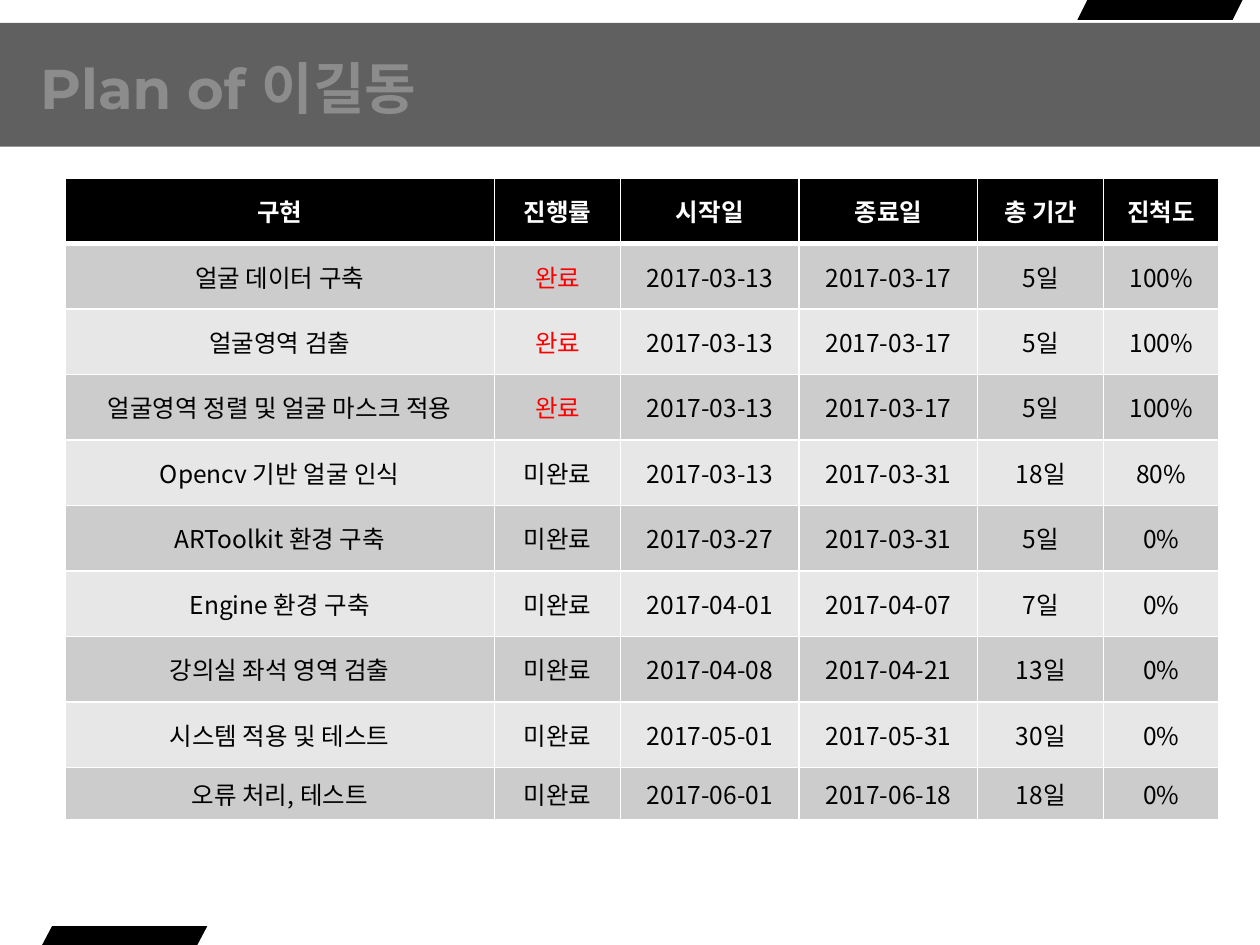
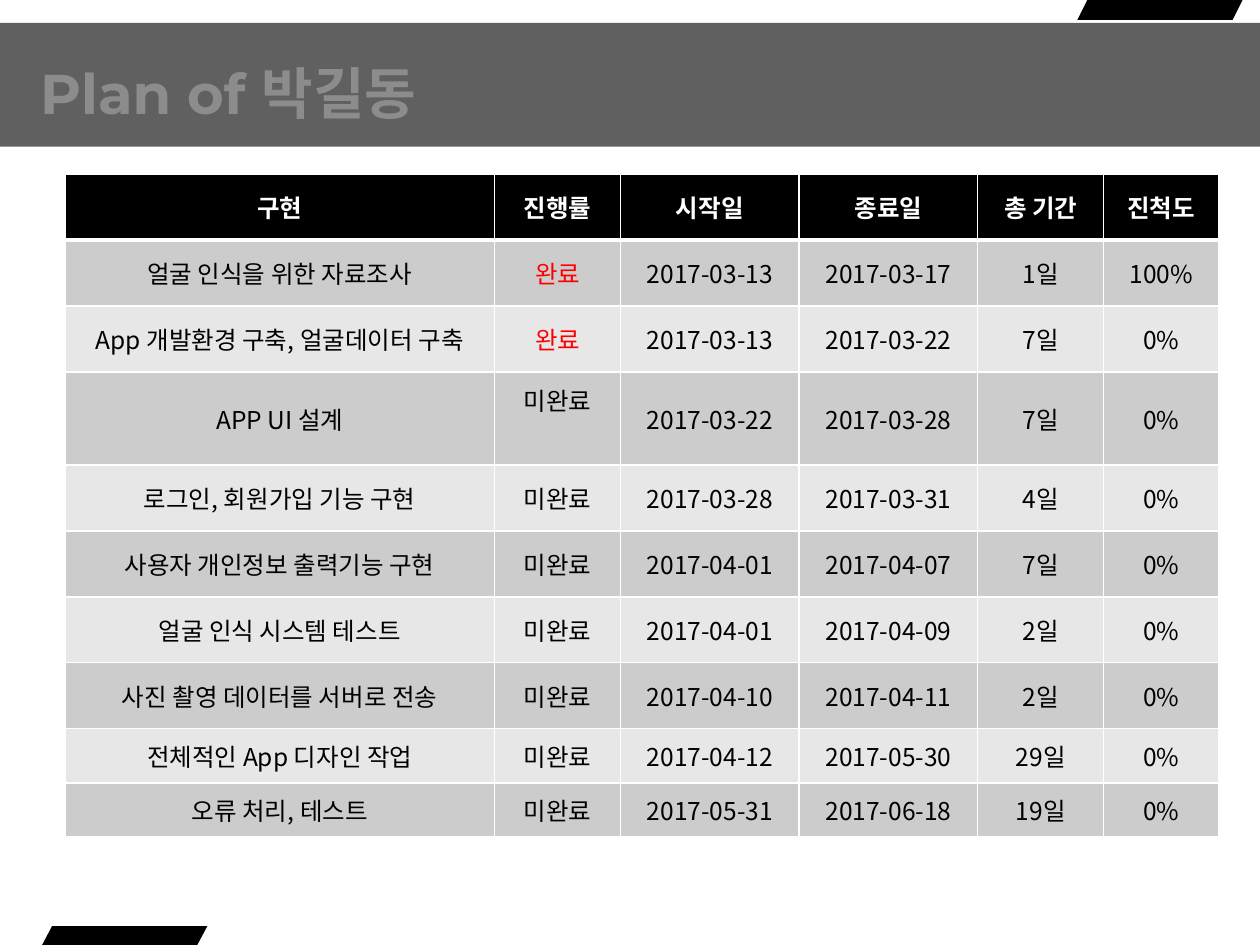
from lxml import etree
from pptx import Presentation
from pptx.dml.color import RGBColor
from pptx.enum import shapes, text
from pptx.oxml.ns import qn
from pptx.util import Cm, Pt

BLACK, WHITE, RED = "000000", "FFFFFF", "FF0000"
BAND_GREY, TITLE_GREY = "606060", "8C8C8C"
ROW_FILLS = ("CCCCCC", "E7E7E7")
BODY_FONT, TITLE_FONT = "Noto Sans CJK KR", "Montserrat"

SLIDE_WIDTH, SLIDE_HEIGHT = 25.4, 19.05
BAND_TOP, BAND_HEIGHT = 0.46, 2.5
TAB_WIDTH, TAB_SLANT = 3.33, 0.2
TABLE_LEFT = 1.31
COLUMN_WIDTHS = (8.66, 2.54, 3.6, 3.6, 2.54, 2.32)
HEADINGS = ("구현", "진행률", "시작일", "종료일", "총 기간", "진척도")
DONE, OPEN = "완료", "미완료"

LEE_TASKS = [
    ("얼굴 데이터 구축", DONE, "2017-03-13", "2017-03-17", "5일", "100%"),
    ("얼굴영역 검출", DONE, "2017-03-13", "2017-03-17", "5일", "100%"),
    ("얼굴영역 정렬 및 얼굴 마스크 적용", DONE, "2017-03-13", "2017-03-17", "5일", "100%"),
    ("Opencv 기반 얼굴 인식", OPEN, "2017-03-13", "2017-03-31", "18일", "80%"),
    ("ARToolkit 환경 구축", OPEN, "2017-03-27", "2017-03-31", "5일", "0%"),
    ("Engine 환경 구축", OPEN, "2017-04-01", "2017-04-07", "7일", "0%"),
    ("강의실 좌석 영역 검출", OPEN, "2017-04-08", "2017-04-21", "13일", "0%"),
    ("시스템 적용 및 테스트", OPEN, "2017-05-01", "2017-05-31", "30일", "0%"),
    ("오류 처리, 테스트", OPEN, "2017-06-01", "2017-06-18", "18일", "0%"),
]
PARK_TASKS = [
    ("얼굴 인식을 위한 자료조사", DONE, "2017-03-13", "2017-03-17", "1일", "100%"),
    ("App 개발환경 구축, 얼굴데이터 구축", DONE, "2017-03-13", "2017-03-22", "7일", "0%"),
    ("APP UI 설계", OPEN, "2017-03-22", "2017-03-28", "7일", "0%"),
    ("로그인, 회원가입 기능 구현", OPEN, "2017-03-28", "2017-03-31", "4일", "0%"),
    ("사용자 개인정보 출력기능 구현", OPEN, "2017-04-01", "2017-04-07", "7일", "0%"),
    ("얼굴 인식 시스템 테스트", OPEN, "2017-04-01", "2017-04-09", "2일", "0%"),
    ("사진 촬영 데이터를 서버로 전송", OPEN, "2017-04-10", "2017-04-11", "2일", "0%"),
    ("전체적인 App 디자인 작업", OPEN, "2017-04-12", "2017-05-30", "29일", "0%"),
    ("오류 처리, 테스트", OPEN, "2017-05-31", "2017-06-18", "19일", "0%"),
]


def paint(part, color):
    """Give a fill, or a font through its fill, one solid colour."""
    part.fill.solid()
    part.fill.fore_color.rgb = RGBColor.from_string(color)


def add_run(paragraph, words, size, color, bold, latin=BODY_FONT):
    run = paragraph.add_run()
    run.text = words
    run.font.size = Pt(size)
    run.font.bold = bold
    run.font.name = latin
    paint(run.font, color)
    east_asian = etree.Element(qn("a:ea"), typeface=BODY_FONT)
    run.font._element.find(qn("a:latin")).addnext(east_asian)
    return run


def finish_shape(shape, color):
    paint(shape, color)
    shape.line.fill.background()
    shape.shadow.inherit = False


def add_slanted_tab(slide, left, top, height):
    right, bottom = left + TAB_WIDTH, top + height
    outline = slide.shapes.build_freeform(Cm(left + TAB_SLANT), Cm(top))
    outline.add_line_segments([
        (Cm(right), Cm(top)),
        (Cm(right - TAB_SLANT), Cm(bottom)),
        (Cm(left), Cm(bottom)),
    ])
    finish_shape(outline.convert_to_shape(), BLACK)


def add_band(slide):
    band = slide.shapes.add_shape(shapes.MSO_SHAPE.RECTANGLE, 0, Cm(BAND_TOP),
                                  Cm(SLIDE_WIDTH), Cm(BAND_HEIGHT))
    finish_shape(band, BAND_GREY)


def set_title(slide, person, drop):
    """Write the title on the band, moved down by drop."""
    title = slide.shapes.title
    title.left, title.top = Cm(0.81), Cm(BAND_TOP + drop)
    title.width, title.height = Cm(23), Cm(BAND_HEIGHT)
    frame = title.text_frame
    frame.margin_left = frame.margin_right = 0
    frame.margin_top = frame.margin_bottom = 0
    frame.vertical_anchor = text.MSO_ANCHOR.MIDDLE
    frame.auto_size = text.MSO_AUTO_SIZE.NONE
    heading = frame.paragraphs[0]
    heading.alignment = text.PP_ALIGN.LEFT
    add_run(heading, "Plan of ", 32, TITLE_GREY, True, TITLE_FONT)
    add_run(heading, person, 32, TITLE_GREY, True)
    title.element.getparent().append(title.element)  # in front of the band


def add_borders(cell, top, bottom):
    properties = cell._tc.get_or_add_tcPr()
    for side, points in (("L", 1), ("R", 1), ("T", top), ("B", bottom)):
        line = etree.SubElement(properties, qn(f"a:ln{side}"), w=str(Pt(points)))
        fill = etree.SubElement(line, qn("a:solidFill"))
        etree.SubElement(fill, qn("a:srgbClr"), val=WHITE)


def fill_cell(cell, words, row):
    header = row == 0
    add_borders(cell, top=3 if row == 1 else 1, bottom=3 if header else 1)
    paint(cell, BLACK if header else ROW_FILLS[(row - 1) % 2])
    cell.vertical_anchor = text.MSO_ANCHOR.MIDDLE
    paragraph = cell.text_frame.paragraphs[0]
    paragraph.alignment = text.PP_ALIGN.CENTER
    color = WHITE if header else RED if words == DONE else BLACK
    entry = add_run(paragraph, words, 14, color, header)
    entry.font._element.set("kern", "0")  # keeps full spaces between Hangul words


def add_plan(slide, tasks, top, row_heights):
    frame = slide.shapes.add_table(
        len(row_heights), len(HEADINGS), Cm(TABLE_LEFT), Cm(top),
        Cm(sum(COLUMN_WIDTHS)), Cm(sum(row_heights)))
    plan = frame.table
    for column, width in zip(plan.columns, COLUMN_WIDTHS):
        column.width = Cm(width)
    for row, height in zip(plan.rows, row_heights):
        row.height = Cm(height)
    for r, entries in enumerate([HEADINGS, *tasks]):
        for c, words in enumerate(entries):
            fill_cell(plan.cell(r, c), words, r)
    return plan


def add_plan_slide(deck, person, title_drop, tasks, top, row_heights):
    slide = deck.slides.add_slide(deck.slide_layouts[5])
    add_slanted_tab(slide, left=0.85, top=18.67, height=0.38)
    add_slanted_tab(slide, left=21.72, top=0, height=0.4)
    add_band(slide)
    set_title(slide, person, title_drop)
    return add_plan(slide, tasks, top, row_heights)


def main():
    deck = Presentation()
    deck.slide_width, deck.slide_height = Cm(SLIDE_WIDTH), Cm(SLIDE_HEIGHT)
    add_plan_slide(deck, "이길동", 0.05, LEE_TASKS, 3.59, [1.32] * 9 + [1.05])
    park_plan = add_plan_slide(deck, "박길동", 0.15, PARK_TASKS, 3.51,
                               [1.33] * 3 + [1.87] + [1.33] * 4 + [1.09] * 2)
    park_plan.cell(3, 1).margin_bottom = Cm(0.86)  # status sits high in the tall row
    deck.save("out.pptx")


if __name__ == "__main__":
    main()
